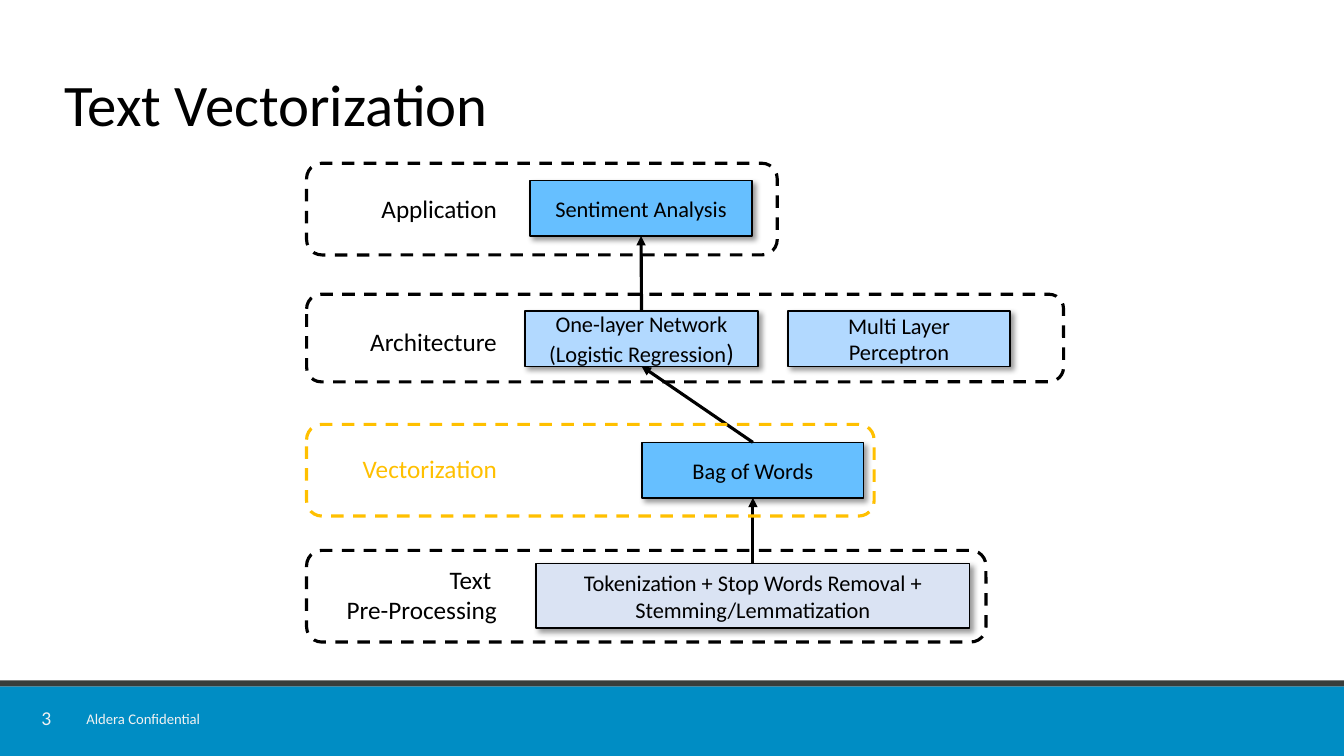
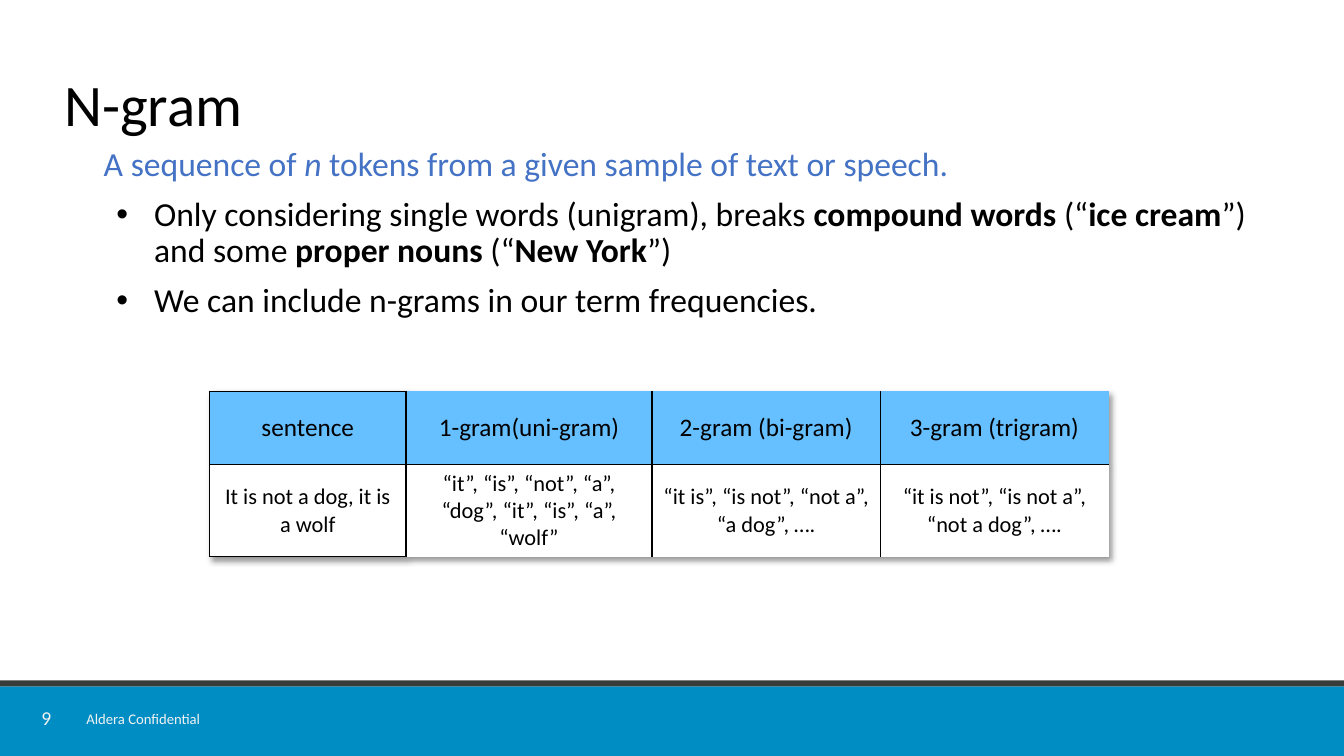
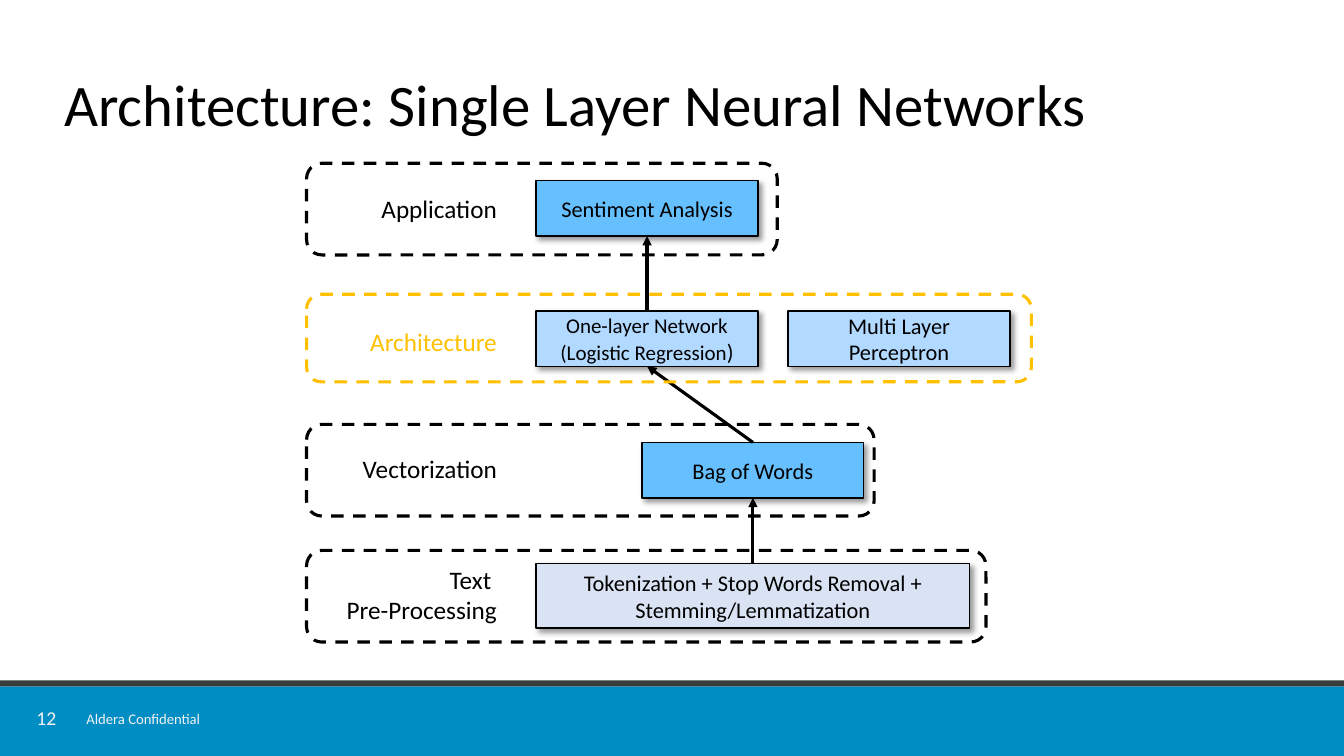
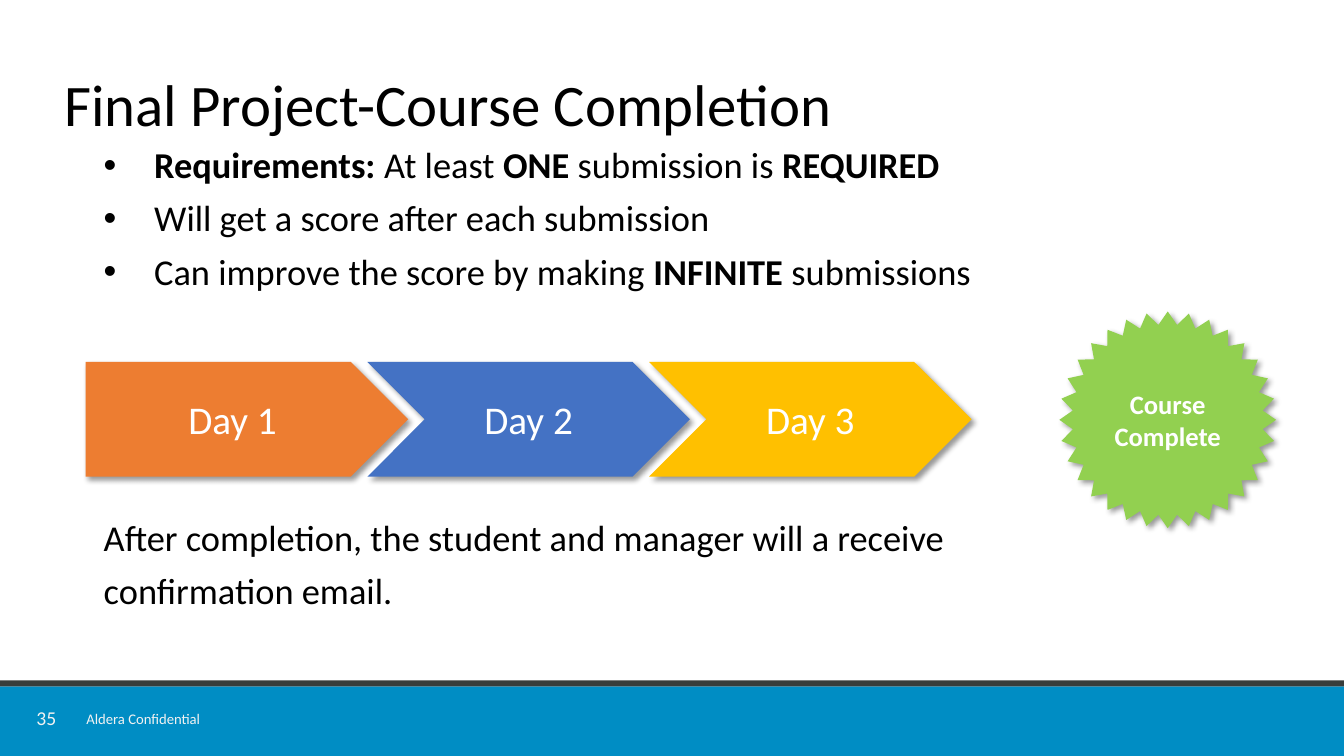
"""Build four course slides on text vectors, n-grams, networks and the final project."""
from dataclasses import dataclass, replace
from typing import Any, NamedTuple, Optional

import lxml.etree
import pptx
import pptx.dml.color
import pptx.enum.dml
import pptx.enum.shapes
import pptx.enum.text
import pptx.oxml.ns
import pptx.util

Pt = pptx.util.Pt
Align = pptx.enum.text.PP_ALIGN
Anchor = pptx.enum.text.MSO_ANCHOR
Kind = pptx.enum.shapes.MSO_SHAPE
qn = pptx.oxml.ns.qn

FONT = "Calibri"
BLACK, WHITE, PALE = "000000", "FFFFFF", "F2F2F2"
BAND, STRIP = "008DC4", "383D3B"
SKY, LIGHT, MIST = "66BFFF", "B2D9FF", "DAE3F3"
BLUE, GOLD, ORANGE, GREEN = "4472C4", "FFC000", "ED7D31", "92D050"


class Rect(NamedTuple):
    left: float
    top: float
    width: float
    height: float

    @property
    def mid(self) -> float:
        return self.left + self.width / 2

    @property
    def base(self) -> float:
        return self.top + self.height


class Run(NamedTuple):
    text: str
    bold: bool = False
    slant: bool = False
    size: Optional[float] = None


@dataclass(frozen=True)
class Style:
    size: float
    color: str = BLACK
    align: Any = Align.LEFT
    anchor: Any = Anchor.TOP
    bold: bool = False
    pitch: float = 1.0


@dataclass(frozen=True)
class Para:
    runs: tuple[Run, ...]
    color: str = BLACK
    gap: float = 10
    hang: float = 0


@dataclass(frozen=True)
class Box:
    rect: Rect
    lines: tuple[tuple[Run, ...], ...]
    fill: str
    size: float = 16


@dataclass(frozen=True)
class Layer:
    name: str
    frame: Rect
    text: Rect


@dataclass(frozen=True)
class Flow:
    title: str
    page: int
    hot: str
    goal: float
    net: Rect
    size: float
    close: float
    span: float


TITLE = Style(42, anchor=Anchor.MIDDLE, pitch=0.9)
PAGE = Style(14, PALE, Align.CENTER, Anchor.MIDDLE, pitch=0.9)
FOOT = Style(10.5, PALE)
LABEL = Style(18, align=Align.RIGHT)
MIDDLE = Style(16, align=Align.CENTER, anchor=Anchor.MIDDLE)

LAYERS = (
    Layer("Application", Rect(219, 116.6, 336.2, 65.5), Rect(175, 134.6, 187, 29)),
    Layer("Architecture", Rect(219, 210.2, 540.7, 62.6), Rect(175, 229.7, 187, 29)),
    Layer("Vectorization", Rect(219, 303.1, 405.4, 65.5), Rect(175, 320.4, 187, 29)),
    Layer("Text \nPre-Processing", Rect(219, 393.1, 485.3, 65.5), Rect(175, 399.6, 187, 51)),
)


def tint(code: str) -> pptx.dml.color.RGBColor:
    return pptx.dml.color.RGBColor.from_string(code)


def place(rect: Rect) -> list[int]:
    return [Pt(side) for side in rect]


def cast(effects: Any) -> None:
    shade = lxml.etree.SubElement(
        effects, qn("a:outerShdw"), blurRad=str(Pt(4)), dist=str(Pt(3)),
        dir="2700000", algn="tl", rotWithShape="0")
    color = lxml.etree.SubElement(shade, qn("a:srgbClr"), val=BLACK)
    lxml.etree.SubElement(color, qn("a:alpha"), val="40000")


def ink(run: Any, style: Style) -> None:
    run.font.name = FONT
    run.font.size = Pt(style.size)
    run.font.bold = style.bold
    run.font.color.rgb = tint(style.color)


def dress(frame: Any, style: Style) -> None:
    for para in frame.paragraphs:
        para.alignment = style.align
        para.line_spacing = style.pitch
        for run in para.runs:
            ink(run, style)


def write(frame: Any, text: str, style: Style) -> None:
    frame.word_wrap = True
    frame.vertical_anchor = style.anchor
    frame.text = text
    dress(frame, style)


def fill_runs(para: Any, runs: tuple[Run, ...], style: Style) -> None:
    for part in runs:
        run = para.add_run()
        run.text = part.text
        ink(run, replace(style, bold=part.bold, size=part.size or style.size))
        run.font.italic = part.slant


def note(slide: Any, rect: Rect, text: str, style: Style) -> Any:
    box = slide.shapes.add_textbox(*place(rect))
    write(box.text_frame, text, style)
    return box.text_frame


def shape(slide: Any, kind: Any, rect: Rect, fill: str = "", line: str = "",
          width: float = 1, shade: bool = False) -> Any:
    item = slide.shapes.add_shape(kind, *place(rect))
    if fill:
        item.fill.solid()
        item.fill.fore_color.rgb = tint(fill)
    else:
        item.fill.background()
    if line:
        item.line.color.rgb = tint(line)
        item.line.width = Pt(width)
    else:
        item.line.fill.background()
    item.shadow.inherit = False
    if shade:
        cast(item._element.spPr.find(qn("a:effectLst")))
    return item


def start(deck: Any, title: str, page: int) -> Any:
    slide = deck.slides.add_slide(deck.slide_layouts[6])
    shape(slide, Kind.RECTANGLE, Rect(-1, 490.3, 963, 49.7), BAND)
    shape(slide, Kind.RECTANGLE, Rect(-1, 486, 962, 4.3), STRIP)
    frame = note(slide, Rect(23.8, 505.4, 18.7, 16.6), str(page), PAGE)
    frame.margin_left = frame.margin_right = frame.margin_top = frame.margin_bottom = 0
    foot = note(slide, Rect(54.7, 503.3, 115.2, 20), "Aldera Confidential", FOOT)
    foot.word_wrap = False
    note(slide, Rect(38.9, 37.4, 849.6, 78.5), title, TITLE)
    return slide


def body(slide: Any, paras: tuple[Para, ...], size: float) -> None:
    frame = slide.shapes.add_textbox(*place(Rect(67, 101.5, 854, 383.8))).text_frame
    frame.word_wrap = True
    for index, data in enumerate(paras):
        para = frame.add_paragraph() if index else frame.paragraphs[0]
        para.line_spacing = 0.9
        if index:
            para.space_before = Pt(data.gap)
        if data.hang:
            props = para._p.get_or_add_pPr()
            props.set("marL", str(Pt(36)))
            props.set("indent", str(-Pt(data.hang)))
            lxml.etree.SubElement(props, qn("a:buFont"), typeface="Arial")
            lxml.etree.SubElement(props, qn("a:buChar"), char="•")
        fill_runs(para, data.runs, Style(size, data.color))


def draw_box(slide: Any, box: Box) -> None:
    item = shape(slide, Kind.RECTANGLE, box.rect, box.fill, BLACK, shade=True)
    frame = item.text_frame
    frame.word_wrap = True
    frame.vertical_anchor = Anchor.MIDDLE
    for index, runs in enumerate(box.lines):
        para = frame.add_paragraph() if index else frame.paragraphs[0]
        para.alignment = Align.CENTER
        fill_runs(para, runs, Style(box.size))


def arrow(slide: Any, low: Rect, high: Rect) -> None:
    link = slide.shapes.add_connector(
        pptx.enum.shapes.MSO_CONNECTOR.STRAIGHT,
        Pt(low.mid), Pt(low.top), Pt(high.mid), Pt(high.base))
    link.line.color.rgb = tint(BLACK)
    link.line.width = Pt(2.25)
    lxml.etree.SubElement(link.line._get_or_add_ln(), qn("a:tailEnd"), type="triangle")
    lxml.etree.SubElement(link._element.spPr, qn("a:effectLst"))


def draw_flow(deck: Any, flow: Flow) -> None:
    slide = start(deck, flow.title, flow.page)
    goal = Rect(flow.goal, 129, 158.4, 39.6)
    words = Rect(458.6, 316, 158.4, 39.6)
    prep = Rect(383, 402.5, 309.6, 46)
    boxes = (
        Box(goal, ((Run("Sentiment Analysis"),),), SKY),
        Box(flow.net, ((Run("One-layer Network"),),
                       (Run("(Logistic Regression"), Run(")", size=flow.close))),
            LIGHT, flow.size),
        Box(words, ((Run("Bag of Words"),),), SKY),
        Box(Rect(563, 222, 158.4, 39.6), ((Run("Multi Layer Perceptron"),),), LIGHT),
        Box(prep, ((Run("Tokenization + Stop Words Removal + Stemming/Lemmatization"),),), MIST),
    )
    for box in boxes:
        draw_box(slide, box)
    for low, high in ((prep, words), (words, flow.net), (flow.net, goal)):
        arrow(slide, low, high)
    for layer in LAYERS:
        color = GOLD if layer.name == flow.hot else BLACK
        note(slide, layer.text, layer.name, replace(LABEL, color=color))
        rect = layer.frame
        if layer.name == "Architecture":
            rect = rect._replace(width=flow.span)
        edge = shape(slide, Kind.ROUNDED_RECTANGLE, rect, line=color, width=2.25)
        edge.line.dash_style = pptx.enum.dml.MSO_LINE.DASH


def rule(cell: Any, side: str, shown: bool) -> None:
    line = lxml.etree.SubElement(cell._tc.get_or_add_tcPr(), qn("a:ln" + side), w=str(Pt(1)))
    if shown:
        paint = lxml.etree.SubElement(line, qn("a:solidFill"))
        lxml.etree.SubElement(paint, qn("a:srgbClr"), val=BLACK)
    else:
        lxml.etree.SubElement(line, qn("a:noFill"))


def draw_grid(slide: Any) -> None:
    rows = (
        ("sentence", "1-gram(uni-gram)", "2-gram (bi-gram)", "3-gram (trigram)"),
        ("It is not a dog, it is a wolf",
         "“it”, “is”, “not”, “a”, “dog”, “it”, “is”, “a”, “wolf”",
         "“it is”, “is not”, “not a”, “a dog”, ….",
         "“it is not”, “is not a”, “not a dog”, ...."
         .replace("....", "….")),
    )
    widths, heights = (140.4, 175.7, 163.1, 163.1), (52.6, 65.8)
    rect = Rect(149.6, 279.4, sum(widths), sum(heights))
    grid = slide.shapes.add_table(2, 4, *place(rect)).table
    grid.first_row = grid.horz_banding = False
    effects = lxml.etree.Element(qn("a:effectLst"))
    cast(effects)
    grid._tbl.tblPr.insert(0, effects)
    for column, width in zip(grid.columns, widths):
        column.width = Pt(width)
    for row, texts in enumerate(rows):
        grid.rows[row].height = Pt(heights[row])
        for col, text in enumerate(texts):
            cell = grid.cell(row, col)
            rule(cell, "L", True)
            rule(cell, "R", col < 3)
            rule(cell, "T", row == 1 or col == 0)
            rule(cell, "B", row == 0 or col == 0)
            cell.fill.solid()
            cell.fill.fore_color.rgb = tint(WHITE if row else SKY)
            cell.vertical_anchor = Anchor.MIDDLE
            cell.text_frame.text = text
            dress(cell.text_frame, replace(MIDDLE, size=16 if row else 18))


def draw_gram(deck: Any) -> None:
    slide = start(deck, "N-gram", 9)
    body(slide, (
        Para((Run("A sequence of "), Run("n", slant=True),
              Run(" tokens from a given sample of text or speech.")), BLUE),
        Para((Run("Only considering single words (unigram), breaks "),
              Run("compound words", True), Run(" (“"), Run("ice cream", True),
              Run("”) and some "), Run("proper nouns", True), Run(" (“"),
              Run("New York", True), Run("”)")), hang=27),
        Para((Run("We can include n-grams in our term frequencies."),), hang=27),
    ), 24)
    draw_grid(slide)


def draw_final(deck: Any) -> None:
    slide = start(deck, "Final Project-Course Completion", 35)
    body(slide, (
        Para((Run("Requirements: ", True), Run("At least "), Run("ONE", True),
              Run(" submission is "), Run("REQUIRED", True)), hang=36),
        Para((Run("Will get a score after each submission"),), hang=36),
        Para((Run("Can improve the score by making "), Run("INFINITE", True),
              Run(" submissions")), hang=36),
        Para((Run("After completion, the student and manager will a receive"),), gap=162),
        Para((Run("confirmation email."),)),
    ), 26)
    for index, color in enumerate((ORANGE, BLUE, GOLD)):
        kind = Kind.CHEVRON if index else Kind.PENTAGON
        rect = Rect(61.2 + 201.2 * index, 258.5, 230.4, 82)
        day = shape(slide, kind, rect, color, shade=True)
        write(day.text_frame, f"Day {index + 1}", replace(MIDDLE, size=28, color=WHITE))
    star = shape(slide, Kind.STAR_32_POINT, Rect(756.7, 222.5, 154.8, 154.8), GREEN, shade=True)
    star.adjustments[0] = 0.44
    write(star.text_frame, "Course\nComplete", replace(MIDDLE, size=19, color=WHITE, bold=True))


def main() -> None:
    deck = pptx.Presentation()
    deck.slide_width, deck.slide_height = Pt(960), Pt(540)
    draw_flow(deck, Flow("Text Vectorization", 3, "Vectorization", 378.7,
                         Rect(375.1, 222, 166.3, 39.6), 16, 18, 540.7))
    draw_gram(deck)
    draw_flow(deck, Flow("Architecture: Single Layer Neural Networks", 12, "Architecture", 383,
                         Rect(383, 222, 158.4, 39.6), 15, 16, 517.7))
    draw_final(deck)
    deck.save("out.pptx")


if __name__ == "__main__":
    main()
